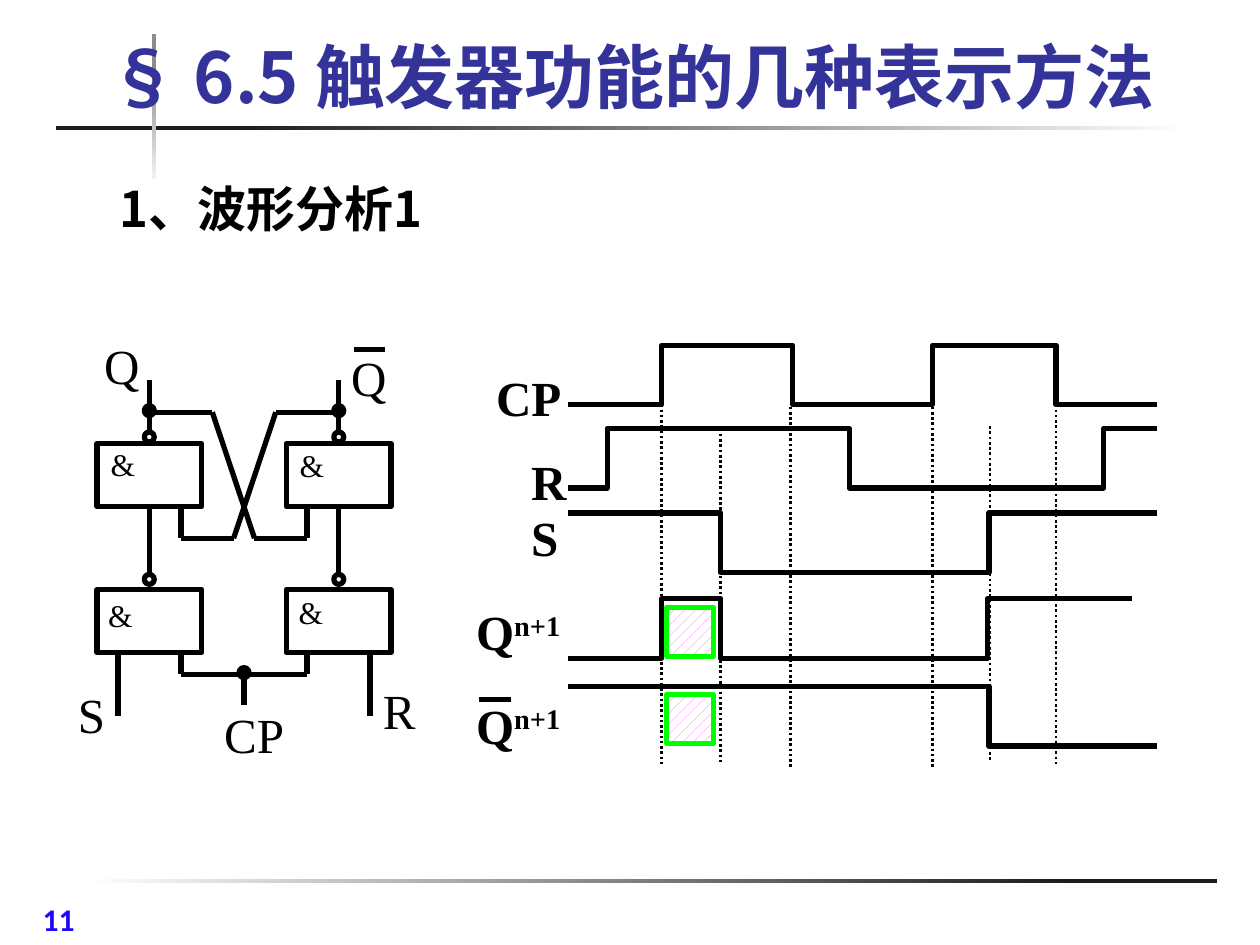
"""Build a slide on flip-flop waveforms with a gated SR latch and its timing diagram."""
from lxml import etree
from pptx import Presentation
from pptx.dml.color import RGBColor
from pptx.enum.dml import MSO_LINE, MSO_PATTERN
from pptx.enum.shapes import MSO_CONNECTOR, MSO_SHAPE
from pptx.enum.text import MSO_ANCHOR
from pptx.oxml.ns import qn
from pptx.util import Cm, Pt

RECTANGLE, OVAL = MSO_SHAPE.RECTANGLE, MSO_SHAPE.OVAL
STRAIGHT = MSO_CONNECTOR.STRAIGHT
DOTTED = MSO_LINE.ROUND_DOT
TOP, BOTTOM = MSO_ANCHOR.TOP, MSO_ANCHOR.BOTTOM
DOTS = MSO_PATTERN.PERCENT_20
SANS, SERIF = "Noto Sans CJK SC", "Times New Roman"
COLORS = {name: RGBColor.from_string(value) for name, value in {
    "black": "000000", "white": "FFFFFF", "title": "333399", "number": "1F08F8",
    "dark": "1C1C1C", "pale": "F2F2F2", "gray": "8C8C8C",
    "pink": "FF66FF", "green": "00FF00"}.items()}

deck = Presentation()
deck.slide_width, deck.slide_height = Cm(25.4), Cm(19.05)
page = deck.slides.add_slide(deck.slide_layouts[6])
page.background.fill.solid()
page.background.fill.fore_color.rgb = COLORS["white"]


def add_text(text, left, top, width, height, size=28, font=SERIF, color="black",
             bold=False, anchor=TOP, wrap=True, superscript=""):
    box = page.shapes.add_textbox(Cm(left), Cm(top), Cm(width), Cm(height))
    frame = box.text_frame
    frame.word_wrap = wrap
    frame.vertical_anchor = anchor
    para = frame.paragraphs[0]
    for content in filter(None, (text, superscript)):
        span = para.add_run()
        span.text = content
        span.font.size, span.font.name, span.font.bold = Pt(size), font, bold
        span.font.color.rgb = COLORS[color]
        etree.SubElement(span.font._element, qn("a:ea")).set("typeface", font)
    if superscript:
        span.font._element.set("baseline", "30000")


def add_wire(*points, width=3, dash=None):
    points = [(Cm(x), Cm(y)) for x, y in points]
    if len(points) == 2:
        wire = page.shapes.add_connector(STRAIGHT, *points[0], *points[1])
        etree.SubElement(wire._element.spPr, qn("a:effectLst"))
    else:
        builder = page.shapes.build_freeform(*points[0])
        builder.add_line_segments(points[1:], close=False)
        wire = builder.convert_to_shape()
        wire.fill.background()
        wire.shadow.inherit = False
    wire.line.color.rgb = COLORS["black"]
    wire.line.width = Pt(width)
    if dash:
        wire.line.dash_style = dash


rules = [
    (1.68, 17.73, 22.86, 0.08, 0, (("white", 0), ("dark", 0.87))),
    (1.12, 2.54, 22.86, 0.08, 0, (("dark", 0.16), ("white", 1))),
    (3.07, 0.69, 0.08, 2.92, 90, (("pale", 0), ("gray", 0.74))),
]
for left, top, width, height, angle, stops in rules:
    rule = page.shapes.add_shape(RECTANGLE, Cm(left), Cm(top), Cm(width), Cm(height))
    rule.shadow.inherit = False
    rule.line.fill.background()
    rule.fill.gradient()
    rule.fill.gradient_angle = angle
    for stop, (color, position) in zip(rule.fill.gradient_stops, stops):
        stop.color.rgb = COLORS[color]
        stop.position = position

add_text("11", 0.61, 18.01, 2.51, 0.94, size=18, font="Calibri", color="number", bold=True)
add_text("§ 6.5 触发器功能的几种表示方法", 1.93, 0.86, 24.08, 1.63, size=40, font=SANS,
         color="title", bold=True, anchor=BOTTOM)
add_text("1、波形分析1", 2.16, 3.56, 7.87, 1.35, font=SANS, bold=True, anchor=BOTTOM)

SWING = 1.2
waves = [
    (6.96, False, (11.46, 13.34, 15.98, 18.8, 21.29, 23.32)),
    (8.64, False, (11.46, 12.24, 17.12, 22.25, 23.32)),
    (10.34, True, (11.46, 14.53, 19.94, 23.32)),
    (12.07, False, (11.46, 13.34, 14.53, 19.91, 22.83)),
    (13.84, True, (11.46, 19.94, 23.32)),
]
for top, high, times in waves:
    trace = []
    for start, end in zip(times, times[1:]):
        level = top if high else top + SWING
        trace += [(start, level), (end, level)]
        high = not high
    add_wire(*trace)

signal_labels = [
    ("CP", 9.75, 7.29, 2.64, ""), ("R", 10.46, 8.97, 1.63, ""), ("S", 10.46, 10.11, 1.63, ""),
    ("Q", 9.35, 12.01, 3.35, "n+1"), ("Q", 9.35, 13.89, 3.45, "n+1"),
]
for text, left, top, width, superscript in signal_labels:
    add_text(text, left, top, width, 1.45, bold=True, superscript=superscript)
add_wire((9.65, 14.1), (10.31, 14.1))

guides = [(13.34, 8.15, 7.26), (15.93, 8.2, 7.26), (18.8, 8.2, 7.26),
          (21.29, 8.15, 7.26), (14.53, 8.64, 6.76), (19.96, 8.59, 6.76)]
for x, top, length in guides:
    add_wire((x, top), (x, top + length), width=1.5, dash=DOTTED)

for top in (14, 12.24):
    patch = page.shapes.add_shape(RECTANGLE, Cm(13.44), Cm(top), Cm(0.94), Cm(0.99))
    patch.shadow.inherit = False
    patch.fill.patterned()
    patch.fill.pattern = DOTS
    patch.fill.fore_color.rgb = COLORS["pink"]
    patch.fill.back_color.rgb = COLORS["white"]
    patch.line.color.rgb = COLORS["green"]
    patch.line.width = Pt(3)

CENTER = 4.92
symbols = [(OVAL, CENTER, 13.56, 0.2, 0.2, True)]
for side in (-1, 1):
    output, inner, outer = (CENTER + side * offset for offset in (1.91, 1.27, 2.54))
    near, far = CENTER + side * 0.64, CENTER - side * 0.21
    add_wire((output, 7.67), (output, 8.71))
    add_wire((output, 8.31), (near, 8.31))
    add_wire((near, 8.31), (far, 10.85))
    add_wire((far, 10.85), (CENTER - side * 1.27, 10.85))
    add_wire((inner, 10.21), (inner, 10.85))
    add_wire((output, 10.21), (output, 11.56))
    add_wire((inner, 13.16), (inner, 13.59))
    add_wire((outer, 13.16), (outer, 14.43))
    symbols += [
        (RECTANGLE, output, 9.58, 2.11, 1.27, False),
        (RECTANGLE, output, 12.52, 2.11, 1.27, False),
        (OVAL, output, 8.28, 0.2, 0.2, True),
        (OVAL, output, 8.81, 0.2, 0.2, False),
        (OVAL, output, 11.68, 0.2, 0.2, False),
    ]
add_wire((CENTER - 1.27, 13.59), (CENTER + 1.27, 13.59))
add_wire((CENTER, 13.59), (CENTER, 14.22))
add_wire((7.14, 7.04), (7.77, 7.04))

for kind, x, y, width, height, filled in symbols:
    symbol = page.shapes.add_shape(kind, Cm(x - width / 2), Cm(y - height / 2),
                                   Cm(width), Cm(height))
    symbol.shadow.inherit = False
    symbol.line.color.rgb = COLORS["black"]
    symbol.line.width = Pt(3)
    if filled:
        symbol.fill.solid()
        symbol.fill.fore_color.rgb = COLORS["black"]
    else:
        symbol.fill.background()

pin_labels = [("Q", 1.85, 6.63, 1.7), ("Q", 6.83, 6.88, 1.27), ("S", 1.32, 13.67, 1.07),
              ("R", 7.47, 13.59, 1.12), ("CP", 4.27, 14.07, 1.73)]
for text, left, top, width in pin_labels:
    add_text(text, left, top, width, 1.45, wrap=False)
for left, top in ((1.98, 8.84), (5.79, 8.86), (1.93, 11.89), (5.77, 11.84)):
    add_text("&", left, top, 1.02, 1.02, size=18)

deck.save("out.pptx")
